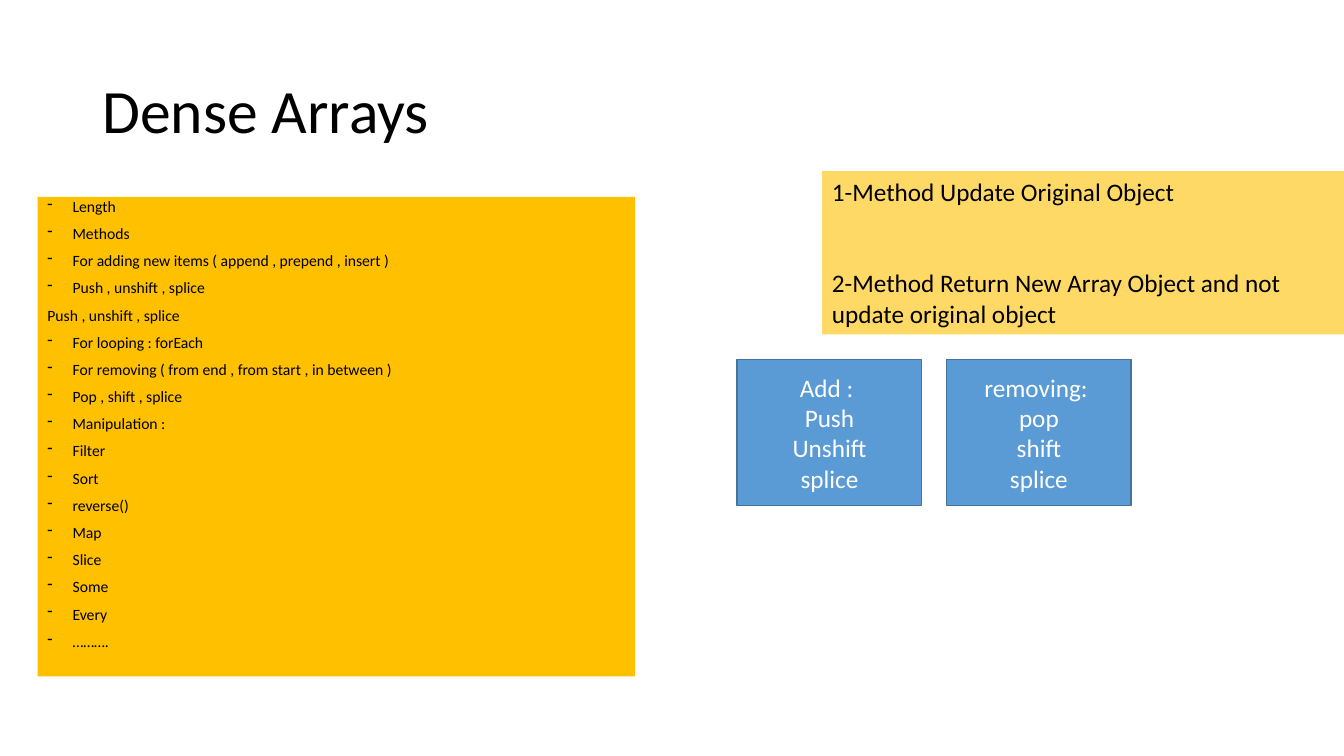
"""Build the "Dense Arrays" slide."""
from dataclasses import dataclass
from typing import Optional

from lxml.etree import SubElement
from pptx import Presentation
from pptx.dml.color import RGBColor
from pptx.enum.shapes import MSO_SHAPE
from pptx.enum.text import MSO_ANCHOR, MSO_AUTO_SIZE, PP_ALIGN
from pptx.oxml.ns import qn
from pptx.slide import Slide
from pptx.text.text import TextFrame
from pptx.util import Pt

FONT = "Calibri"
BLACK = RGBColor(0x00, 0x00, 0x00)
WHITE = RGBColor(0xFF, 0xFF, 0xFF)
AMBER = RGBColor(0xFF, 0xC0, 0x00)
PALE_AMBER = RGBColor(0xFF, 0xD9, 0x66)
BLUE = RGBColor(0x5B, 0x9B, 0xD5)
BLUE_EDGE = RGBColor(0x43, 0x73, 0x9E)

HANGING_INDENT = Pt(18)
UNBULLETED_ROW = 4
CARD_LEFT, CARD_STEP = 526.6, 149.6

ARRAY_TOPICS = (
    "Length",
    "Methods",
    "For adding new items ( append , prepend , insert )",
    "Push , unshift , splice",
    "Push , unshift , splice",
    "For looping : forEach",
    "For removing ( from end , from start , in between )",
    "Pop , shift , splice",
    "Manipulation :",
    "Filter",
    "Sort",
    "reverse()",
    "Map",
    "Slice",
    "Some",
    "Every",
    "……….",
)
METHOD_KINDS = (
    "1-Method Update Original Object",
    "2-Method Return New Array Object and not update original object",
)
METHOD_CARDS = (
    ("Add : ", "Push", "Unshift", "splice"),
    ("removing: ", "pop", "shift", "splice"),
)


@dataclass(frozen=True)
class Panel:
    """A filled rectangle with lines of text, measured in points."""

    left: float
    top: float
    width: float
    height: float
    fill: RGBColor
    lines: tuple[str, ...]
    size: float = 18
    color: RGBColor = BLACK
    edge: Optional[RGBColor] = None
    align: PP_ALIGN = PP_ALIGN.LEFT
    anchor: MSO_ANCHOR = MSO_ANCHOR.TOP
    spacing: float = 1.0
    gap: float = 0


def write_lines(frame: TextFrame, lines: tuple[str, ...], size: float,
                color: RGBColor, align: PP_ALIGN, spacing: float, gap: float) -> None:
    """Write one paragraph per line, each with a single formatted run."""
    for row, line in enumerate(lines):
        paragraph = frame.add_paragraph() if row else frame.paragraphs[0]
        paragraph.alignment = align
        paragraph.line_spacing = spacing
        paragraph.space_before = Pt(gap if row else 0)
        run = paragraph.add_run()
        run.text = line
        run.font.name = FONT
        run.font.size = Pt(size)
        run.font.color.rgb = color


def draw_panel(slide: Slide, panel: Panel) -> TextFrame:
    """Draw a panel and return its text frame."""
    box = slide.shapes.add_shape(MSO_SHAPE.RECTANGLE, Pt(panel.left), Pt(panel.top),
                                 Pt(panel.width), Pt(panel.height))
    box.shadow.inherit = False
    box.fill.solid()
    box.fill.fore_color.rgb = panel.fill
    if panel.edge is None:
        box.line.fill.background()
    else:
        box.line.color.rgb = panel.edge
        box.line.width = Pt(1)
    frame = box.text_frame
    frame.word_wrap = True
    frame.vertical_anchor = panel.anchor
    write_lines(frame, panel.lines, panel.size, panel.color, panel.align,
                panel.spacing, panel.gap)
    return frame


def add_dashes(frame: TextFrame, skipped_row: int) -> None:
    """Give every paragraph but one a hanging dash bullet."""
    for row, paragraph in enumerate(frame.paragraphs):
        if row != skipped_row:
            properties = paragraph._p.get_or_add_pPr()
            properties.set("marL", str(HANGING_INDENT))
            properties.set("indent", str(-HANGING_INDENT))
            SubElement(properties, qn("a:buChar")).set("char", "-")


def add_title(slide: Slide, heading: str) -> None:
    """Place and format the title placeholder."""
    title = slide.shapes.title
    title.left, title.top = Pt(66), Pt(28.8)
    title.width, title.height = Pt(828), Pt(104.4)
    frame = title.text_frame
    frame.word_wrap = True
    frame.auto_size = MSO_AUTO_SIZE.NONE
    frame.vertical_anchor = MSO_ANCHOR.MIDDLE
    write_lines(frame, (heading,), 44, BLACK, PP_ALIGN.LEFT, 0.9, 0)


def main() -> None:
    """Build and save the presentation."""
    deck = Presentation()
    deck.slide_width, deck.slide_height = Pt(960), Pt(540)
    slide = deck.slides.add_slide(deck.slide_layouts[5])
    add_title(slide, "Dense Arrays")

    topics = draw_panel(slide, Panel(26.8, 140.6, 426.8, 342.6, AMBER, ARRAY_TOPICS,
                                     size=11.2, spacing=0.7, gap=10))
    add_dashes(topics, UNBULLETED_ROW)

    kinds = draw_panel(slide, Panel(587.2, 122.2, 388, 116.6, PALE_AMBER,
                                    METHOD_KINDS, gap=43.9))
    kinds.auto_size = MSO_AUTO_SIZE.SHAPE_TO_FIT_TEXT

    for column, lines in enumerate(METHOD_CARDS):
        draw_panel(slide, Panel(CARD_LEFT + column * CARD_STEP, 257, 131.8, 104, BLUE,
                                lines, color=WHITE, edge=BLUE_EDGE,
                                align=PP_ALIGN.CENTER, anchor=MSO_ANCHOR.MIDDLE))

    deck.save("out.pptx")


if __name__ == "__main__":
    main()
